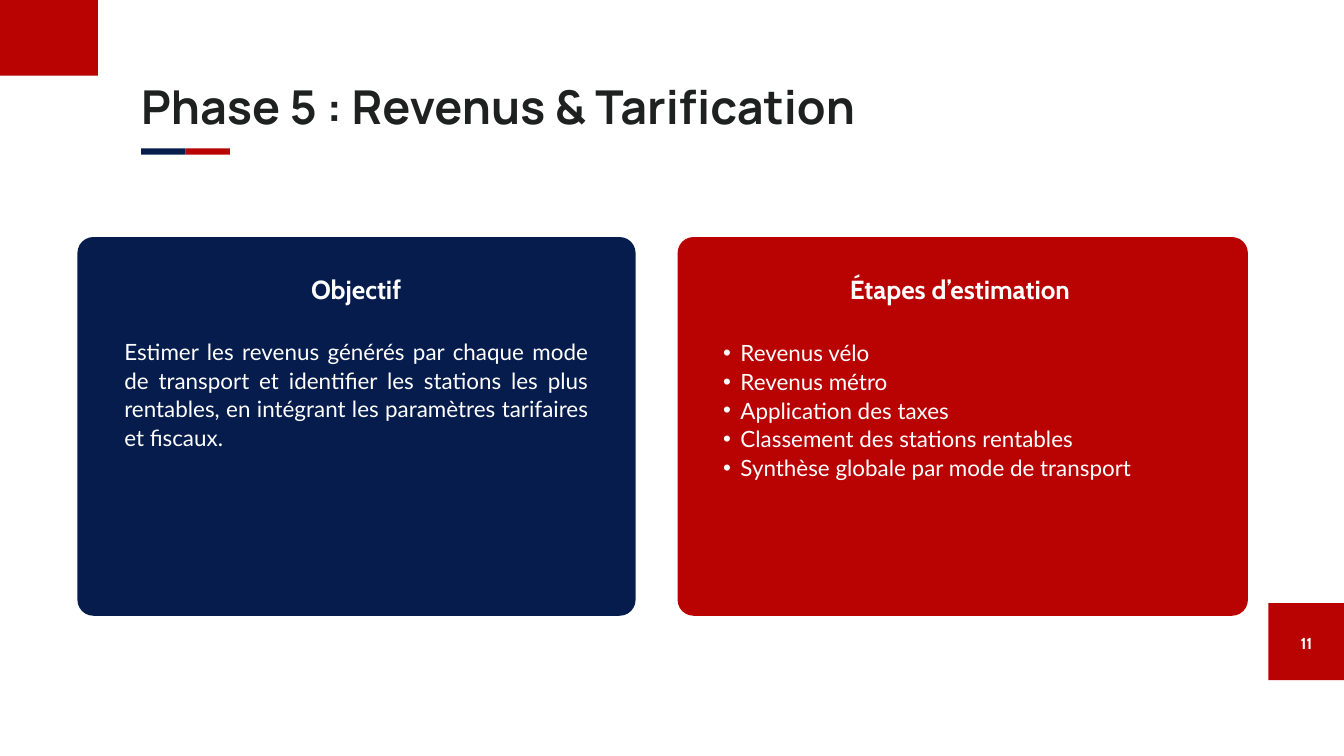
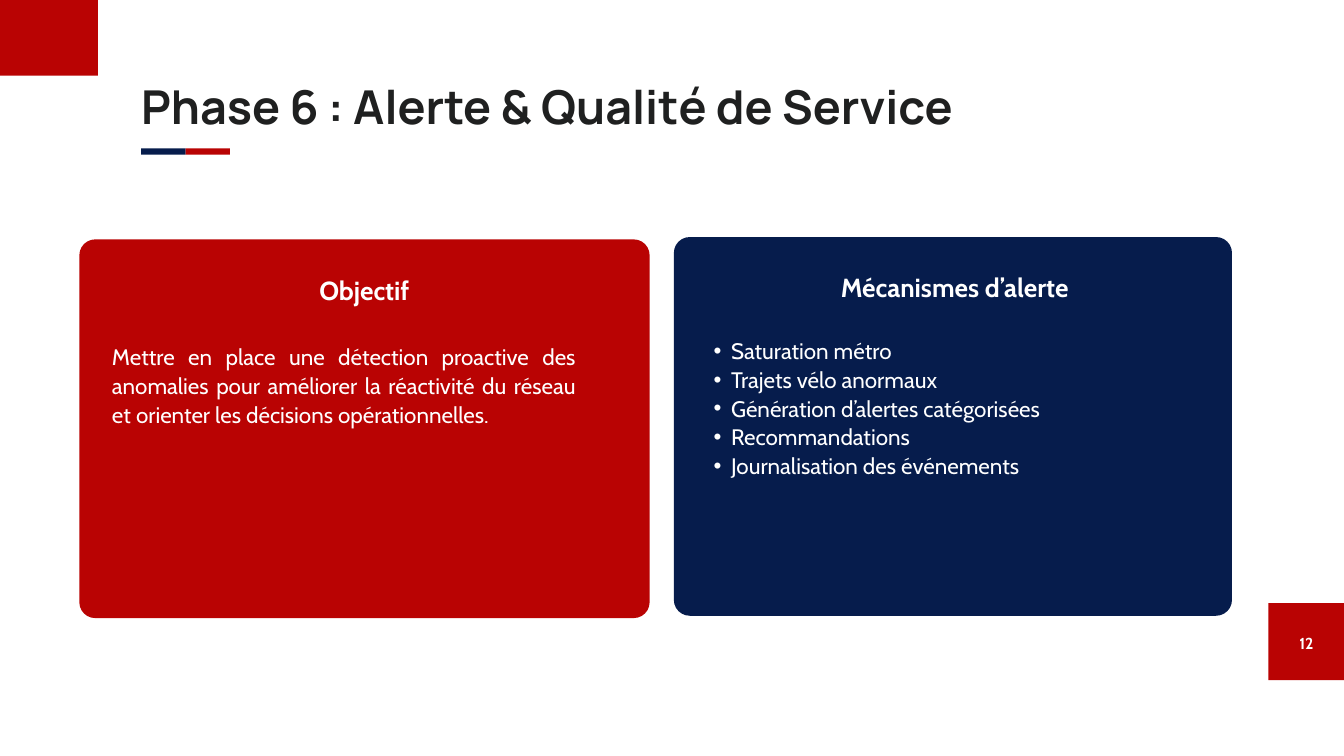
from dataclasses import dataclass

from lxml import etree
from pptx import Presentation
from pptx.dml.color import RGBColor
from pptx.enum.shapes import MSO_SHAPE
from pptx.enum.text import MSO_AUTO_SIZE, PP_ALIGN
from pptx.oxml.ns import qn
from pptx.util import Pt

RECTANGLE = MSO_SHAPE.RECTANGLE
ROUNDED = MSO_SHAPE.ROUNDED_RECTANGLE
GROW = MSO_AUTO_SIZE.SHAPE_TO_FIT_TEXT
LEFT, CENTER, JUSTIFY = PP_ALIGN.LEFT, PP_ALIGN.CENTER, PP_ALIGN.JUSTIFY


@dataclass(frozen=True)
class TextStyle:
    font: str
    size: float
    line: float
    color: RGBColor
    bold: bool = False
    align: PP_ALIGN = LEFT


class Theme:
    red = RGBColor(0xB9, 0x03, 0x03)
    navy = RGBColor(0x06, 0x1C, 0x4C)
    ink = RGBColor(0x1F, 0x20, 0x20)
    white = RGBColor(0xFF, 0xFF, 0xFF)
    title = TextStyle("Manrope", 50, 56, ink, True)
    heading = TextStyle("Cabin", 28, 36.4, white, True, CENTER)
    number = TextStyle("Cabin", 17, 23.8, white, True, CENTER)
    lato_body = TextStyle("Lato", 24, 30.8, white, align=JUSTIFY)
    cabin_body = TextStyle("Cabin", 24, 30.8, white, align=JUSTIFY)
    card_height = 405.75
    card_widths = {red: 611, navy: 598}
    corner = 17
    indent = 18.7


def add_block(page, bounds, color, kind=RECTANGLE):
    block = page.shapes.add_shape(kind, *map(Pt, bounds))
    block.shadow.inherit = False
    block.fill.solid()
    block.fill.fore_color.rgb = color
    block.line.fill.background()
    return block


def add_bullet(para):
    para.level = 1
    properties = para._p.get_or_add_pPr()
    properties.set("marL", str(Pt(2 * Theme.indent)))
    properties.set("indent", str(-Pt(Theme.indent)))
    etree.SubElement(properties, qn("a:buFont")).set("typeface", "Arial")
    etree.SubElement(properties, qn("a:buChar")).set("char", "•")


def add_text(page, bounds, text, style, bulleted=False):
    box = page.shapes.add_textbox(*map(Pt, bounds))
    frame = box.text_frame
    frame.margin_left = frame.margin_right = 0
    frame.margin_top = frame.margin_bottom = 0
    frame.word_wrap = True
    frame.auto_size = GROW
    frame.text = text
    for para in frame.paragraphs:
        if bulleted:
            add_bullet(para)
        para.alignment = style.align
        para.line_spacing = Pt(style.line)
        for span in para.runs:
            span.font.name = style.font
            span.font.size = Pt(style.size)
            span.font.bold = style.bold
            span.font.color.rgb = style.color


def add_card(page, left, top, color):
    width = Theme.card_widths[color]
    card = add_block(page, (left, top, width, Theme.card_height), color, ROUNDED)
    card.adjustments[0] = Theme.corner / Theme.card_height


def add_page(deck, title, number):
    page = deck.slides.add_slide(deck.slide_layouts[6])
    add_block(page, (0, 0, 105, 81), Theme.red)
    add_text(page, (151.2, 87.1, 1194.5, 58.3), title, Theme.title)
    for index, color in enumerate((Theme.navy, Theme.red)):
        add_block(page, (151.2 + index * 47.6, 159, 47.6, 6.6), color)
    add_block(page, (1359, 646.3, 81, 82.5), Theme.red)
    add_text(page, (1377.4, 675.4, 44.6, 22.3), str(number), Theme.number)
    return page


def add_revenue_page(deck):
    page = add_page(deck, "Phase 5 : Revenus & Tarification", 11)
    add_card(page, 83, 254, Theme.navy)
    add_text(page, (327.6, 290, 108, 35.3), "Objectif", Theme.heading)
    add_text(page, (133.2, 360, 496.8, 123.1),
             "Estimer les revenus générés par chaque mode de transport et "
             "identifier les stations les plus rentables, en intégrant les "
             "paramètres tarifaires et fiscaux.", Theme.lato_body)
    add_card(page, 726, 254, Theme.red)
    add_text(page, (897, 290, 262.8, 35.3), "Étapes d’estimation", Theme.heading)
    steps = ["Revenus vélo", "Revenus métro", "Application des taxes",
             "Classement des stations rentables",
             "Synthèse globale par mode de transport"]
    add_text(page, (756, 361.4, 535, 185.8), "\n".join(steps), Theme.lato_body, True)


def add_alert_page(deck):
    page = add_page(deck, "Phase 6 : Alerte & Qualité de Service", 12)
    add_card(page, 85, 256.5, Theme.red)
    add_text(page, (333.4, 291.6, 113.8, 35.3), "Objectif", Theme.heading)
    add_text(page, (120, 365.8, 496.8, 123.8),
             "Mettre en place une détection proactive des anomalies pour "
             "améliorer la réactivité du réseau et orienter les décisions "
             "opérationnelles.", Theme.cabin_body)
    add_card(page, 722, 254, Theme.navy)
    add_text(page, (885, 288, 275.8, 34.6), "Mécanismes d’alerte", Theme.heading)
    alerts = ["Saturation métro", "Trajets vélo anormaux",
              "Génération d’alertes catégorisées", "Recommandations",
              "Journalisation des événements"]
    add_text(page, (745.9, 359.3, 495.4, 154), "\n".join(alerts), Theme.cabin_body, True)


def main():
    deck = Presentation()
    deck.slide_width, deck.slide_height = Pt(1440), Pt(810)
    add_revenue_page(deck)
    add_alert_page(deck)
    deck.save("out.pptx")


if __name__ == "__main__":
    main()
